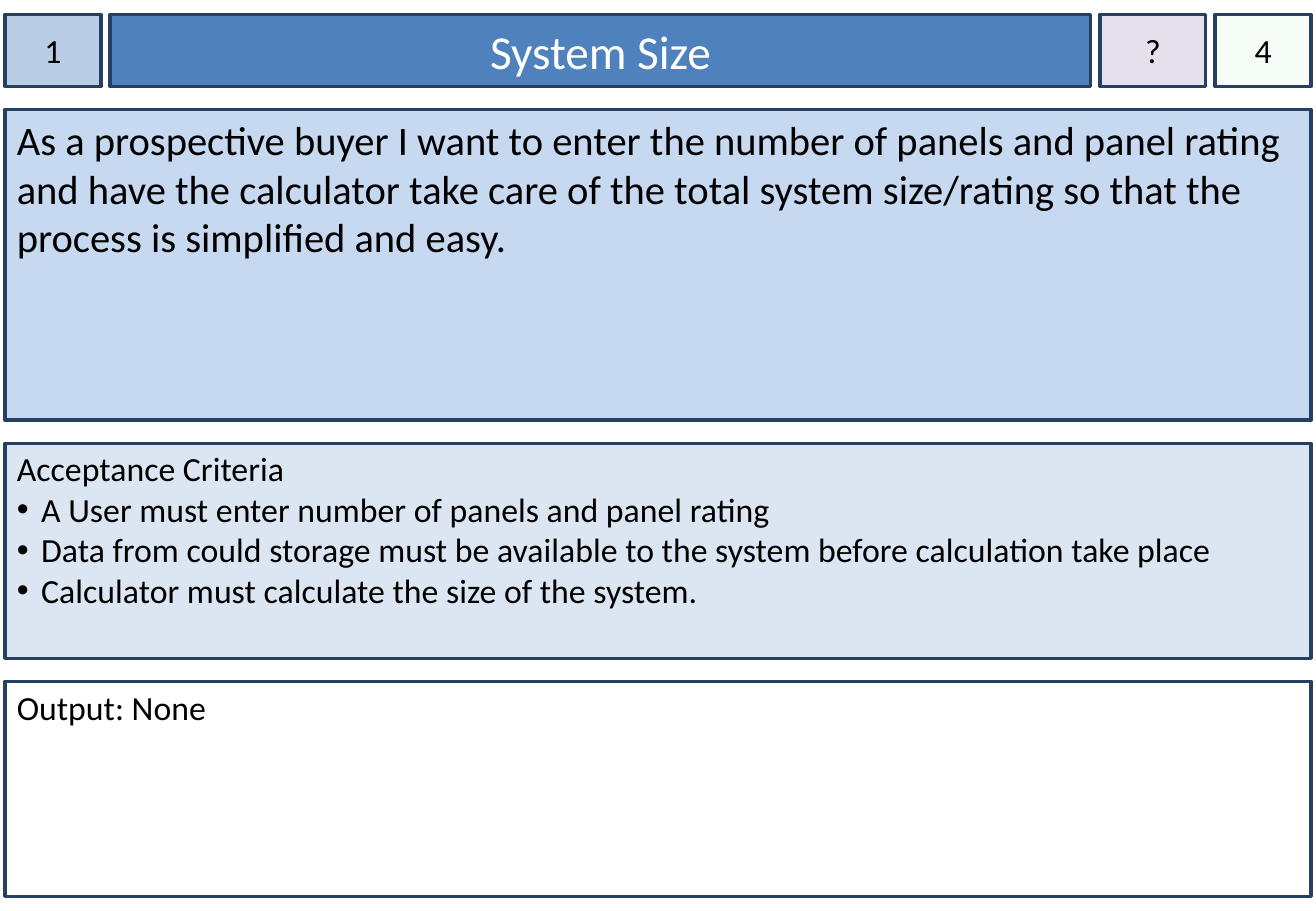
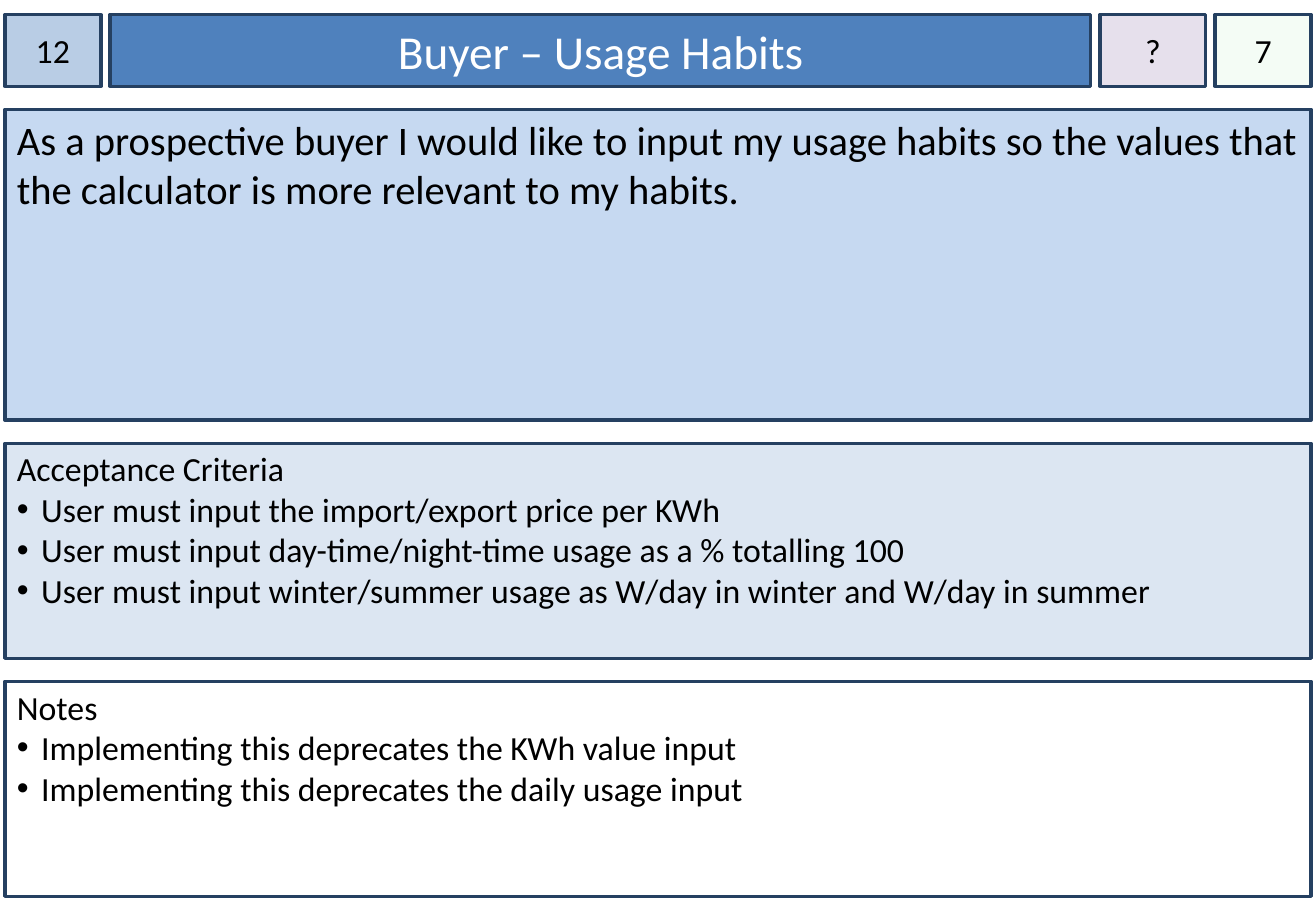
"""Build two user story cards, each a header row above three full-width panels."""
from lxml import etree
from pptx import Presentation, util as u
from pptx.dml.color import RGBColor
from pptx.enum import shapes, text
from pptx.oxml.ns import qn

STORIES = [
    {
        "number": "1", "title": "System Size", "priority": "?", "points": "4",
        "story": "As a prospective buyer I want to enter the number of panels and panel rating "
                 "and have the calculator take care of the total system size/rating so that "
                 "the process is simplified and easy.",
        "criteria": ["Acceptance Criteria",
                     "A User must enter number of panels and panel rating",
                     "Data from could storage must be available to the system before "
                     "calculation take place",
                     "Calculator must calculate the size of the system."],
        "notes": ["Output: None"],
    },
    {
        "number": "12", "title": "Buyer – Usage Habits", "priority": "?", "points": "7",
        "story": "As a prospective buyer I would like to input my usage habits so the values "
                 "that the calculator is more relevant to my habits.",
        "criteria": ["Acceptance Criteria",
                     "User must input the import/export price per KWh",
                     "User must input day-time/night-time usage as a % totalling 100",
                     "User must input winter/summer usage as W/day in winter and W/day in summer"],
        "notes": ["Notes",
                  "Implementing this deprecates the KWh value input",
                  "Implementing this deprecates the daily usage input"],
    },
]
COLOURS = {"number": "B9CDE5", "title": "4F81BD", "priority": "E6E0EC", "points": "CCF0CD",
           "story": "C6D9F1", "criteria": "DCE6F2", "notes": "FFFFFF",
           "border": "254061", "ink": "000000", "title ink": "FFFFFF"}
FONT = "Calibri"
WIDTH, HEIGHT = 10.83, 7.5
LEFT, TOP, CARD_WIDTH = 0.04, 0.12, 10.75
ROW_GAP, HEADER_HEIGHT, BULLET_INDENT = 0.19, 0.59, 0.2
HEADER_WIDTHS = {"number": 0.79, "title": 8.07, "priority": 0.87, "points": 0.79}
PANEL_HEIGHTS = {"story": 2.56, "criteria": 1.77, "notes": 1.77}
BADGE = {"centred": True, "insets": (0, 0.05)}
LIST = {"insets": (0.1, 0.04)}
FORMATS = {"number": BADGE, "priority": {**BADGE, "wrap": False}, "points": BADGE,
           "title": {"size": 28, "colour": "title ink", "centred": True},
           "story": {"size": 24}, "criteria": LIST, "notes": LIST}


def card_layout():
    """Return the left, top, width and height of every part of a card."""
    places = {}
    gap = (CARD_WIDTH - sum(HEADER_WIDTHS.values())) / (len(HEADER_WIDTHS) - 1)
    left = LEFT
    for name, width in HEADER_WIDTHS.items():
        places[name] = (left, TOP, width, HEADER_HEIGHT)
        left += width + gap
    top = TOP + HEADER_HEIGHT + ROW_GAP
    for name, height in PANEL_HEIGHTS.items():
        places[name] = (LEFT, top, CARD_WIDTH, height)
        top += height + ROW_GAP
    return places


def add_bullet(para):
    """Give a paragraph a hanging round bullet."""
    props = para._p.get_or_add_pPr()
    props.set("marL", str(u.Inches(BULLET_INDENT)))
    props.set("indent", str(-u.Inches(BULLET_INDENT)))
    etree.SubElement(props, qn("a:buFont")).set("typeface", "Arial")
    etree.SubElement(props, qn("a:buChar")).set("char", "•")


def write(box, lines, size=20, colour="ink", centred=False, insets=(0.1, 0.05), wrap=True):
    """Write lines into a box, with a bullet on each line after the first."""
    frame = box.text_frame
    frame.word_wrap = wrap
    frame.margin_left = frame.margin_right = u.Inches(insets[0])
    frame.margin_top, frame.margin_bottom = u.Inches(insets[1]), u.Inches(0.05)
    frame.vertical_anchor = text.MSO_ANCHOR.MIDDLE if centred else text.MSO_ANCHOR.TOP
    for index, line in enumerate(lines):
        para = frame.add_paragraph() if index else frame.paragraphs[0]
        para.alignment = text.PP_ALIGN.CENTER if centred else text.PP_ALIGN.LEFT
        if index:
            add_bullet(para)
        span = para.add_run()
        span.text = line
        span.font.name, span.font.size = FONT, u.Pt(size)
        span.font.color.rgb = RGBColor.from_string(COLOURS[colour])


def add_box(page, name, place):
    """Add a bordered rectangle filled with the colour of the named part."""
    box = page.shapes.add_shape(shapes.MSO_SHAPE.RECTANGLE, *map(u.Inches, place))
    box.shadow.inherit = False
    box.fill.solid()
    box.fill.fore_color.rgb = RGBColor.from_string(COLOURS[name])
    box.line.color.rgb = RGBColor.from_string(COLOURS["border"])
    box.line.width = u.Pt(2)
    if name == "points":
        tint = box._element.spPr.find(qn("a:solidFill"))[0]
        etree.SubElement(tint, qn("a:alpha")).set("val", "20000")
    return box


def main():
    """Build and save the deck."""
    deck = Presentation()
    deck.slide_width, deck.slide_height = u.Inches(WIDTH), u.Inches(HEIGHT)
    places = card_layout()
    for story in STORIES:
        page = deck.slides.add_slide(deck.slide_layouts[6])
        for name, place in places.items():
            content = story[name]
            lines = [content] if isinstance(content, str) else content
            write(add_box(page, name, place), lines, **FORMATS[name])
    deck.save("out.pptx")


if __name__ == "__main__":
    main()
